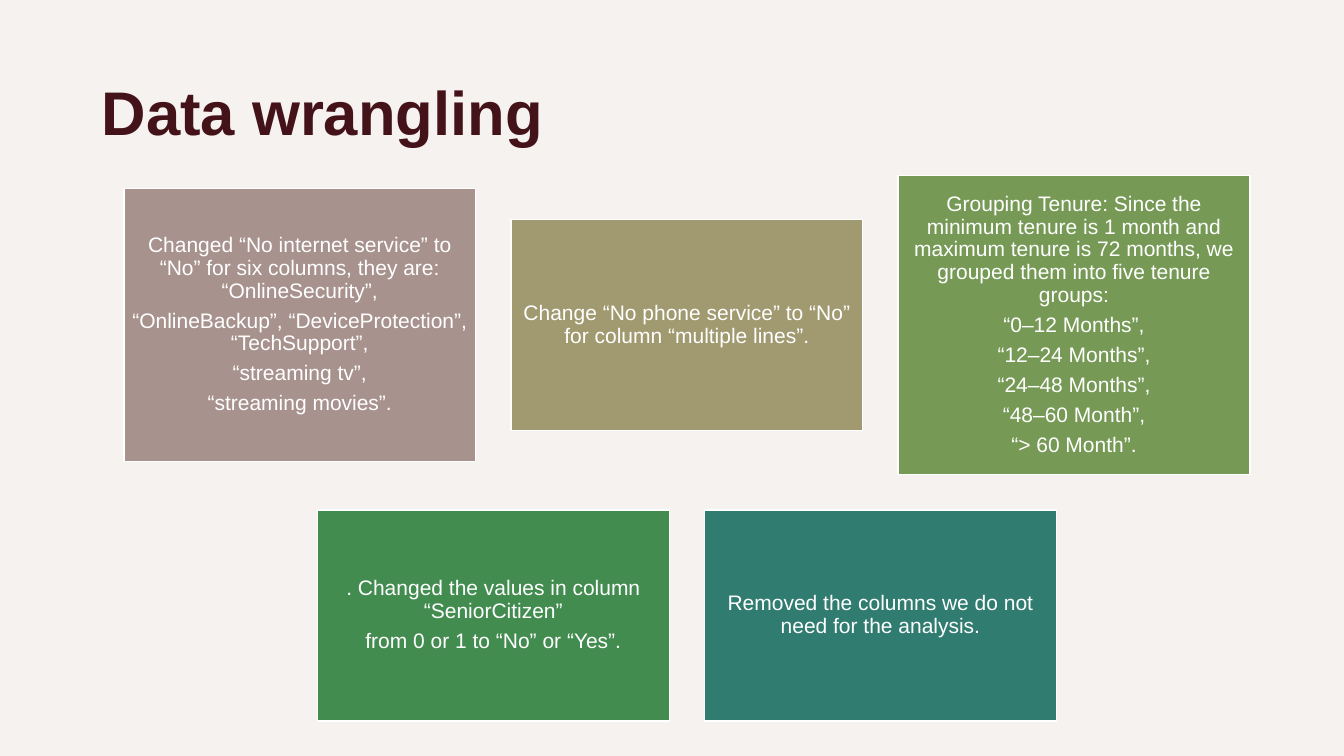
from pptx import Presentation
from pptx.dml.color import RGBColor
from pptx.enum.shapes import MSO_SHAPE
from pptx.enum.text import MSO_ANCHOR, PP_ALIGN
from pptx.util import Pt

RECTANGLE = MSO_SHAPE.RECTANGLE
TOP, MIDDLE = MSO_ANCHOR.TOP, MSO_ANCHOR.MIDDLE
LEFT, CENTER = PP_ALIGN.LEFT, PP_ALIGN.CENTER

WHITE = RGBColor(0xFF, 0xFF, 0xFF)
PALE = RGBColor(0xF6, 0xF2, 0xF0)
MAROON = RGBColor(0x44, 0x13, 0x1A)
MAUVE = RGBColor(0xA7, 0x92, 0x8D)
KHAKI = RGBColor(0xA1, 0x9A, 0x71)
OLIVE = RGBColor(0x76, 0x9A, 0x56)
GREEN = RGBColor(0x42, 0x8C, 0x50)
TEAL = RGBColor(0x30, 0x7C, 0x71)

CARD_WIDTH = 251.3
CARD_HEIGHT = 150.6
CARD_PITCH = 276.5
CARDS_LEFT = 88.5

# Each row: left edge, vertical centre, cards (fill, height, paragraphs)
ROWS = [
    (CARDS_LEFT, 232.2, [
        (MAUVE, 195.1, [
            "Changed “No internet service” to “No” for six columns, "
            "they are: “OnlineSecurity”,",
            "“OnlineBackup”, “DeviceProtection”, “TechSupport”,",
            "“streaming tv”,",
            "“streaming movies”.",
        ]),
        (KHAKI, CARD_HEIGHT, [
            "Change “No phone service” to “No” for column “multiple lines”.",
        ]),
        (OLIVE, 213.6, [
            "Grouping Tenure: Since the minimum tenure is 1 month and maximum "
            "tenure is 72 months, we grouped them into five tenure groups:",
            "“0–12 Months”,",
            "“12–24 Months”,",
            "“24–48 Months”,",
            "“48–60 Month”,",
            "“> 60 Month”.",
        ]),
    ]),
    (CARDS_LEFT + CARD_PITCH / 2, 439.6, [
        (GREEN, CARD_HEIGHT, [
            ". Changed the values in column “SeniorCitizen”",
            "from 0 or 1 to “No” or “Yes”.",
        ]),
        (TEAL, CARD_HEIGHT, [
            "Removed the columns we do not need for the analysis.",
        ]),
    ]),
]


class SlideBuilder:
    font_name = "Arial"
    title_size = 44
    card_size = 15
    card_inset = 4.3
    line_spacing = 0.9
    paragraph_gap = 5.25

    def __init__(self, page):
        self.page = page

    def background(self, color):
        fill = self.page.background.fill
        fill.solid()
        fill.fore_color.rgb = color

    def frame(self, box, anchor, insets):
        frame = box.text_frame
        frame.word_wrap = True
        frame.vertical_anchor = anchor
        left, top, right, bottom = (Pt(inset) for inset in insets)
        frame.margin_left, frame.margin_top = left, top
        frame.margin_right, frame.margin_bottom = right, bottom
        return frame

    def span(self, para, text, size, color, bold=False):
        span = para.add_run()
        span.text = text
        span.font.name = self.font_name
        span.font.size = Pt(size)
        span.font.bold = bold
        span.font.color.rgb = color

    def title(self, text, left, top, width, height):
        box = self.page.shapes.add_textbox(
            Pt(left), Pt(top), Pt(width), Pt(height))
        para = self.frame(box, TOP, (7.2, 8.6, 7.2, 3.6)).paragraphs[0]
        para.alignment = LEFT
        self.span(para, text, self.title_size, MAROON, bold=True)

    def card(self, left, middle, height, color, texts):
        """Draw a filled card centred vertically on middle."""
        box = self.page.shapes.add_shape(
            RECTANGLE, Pt(left), Pt(middle - height / 2),
            Pt(CARD_WIDTH), Pt(height))
        box.shadow.inherit = False
        box.fill.solid()
        box.fill.fore_color.rgb = color
        box.line.color.rgb = WHITE
        box.line.width = Pt(1)
        frame = self.frame(box, MIDDLE, [self.card_inset] * 4)
        for index, text in enumerate(texts):
            para = frame.add_paragraph() if index else frame.paragraphs[0]
            para.alignment = CENTER
            para.line_spacing = self.line_spacing
            para.space_after = Pt(self.paragraph_gap)
            self.span(para, text, self.card_size, WHITE)


def main():
    deck = Presentation()
    deck.slide_width, deck.slide_height = Pt(960), Pt(540)
    builder = SlideBuilder(deck.slides.add_slide(deck.slide_layouts[6]))
    builder.background(PALE)
    builder.title("Data wrangling", 65.5, 44, 816, 81.4)
    for left, middle, cards in ROWS:
        for column, (color, height, texts) in enumerate(cards):
            builder.card(left + column * CARD_PITCH, middle, height, color, texts)
    deck.save("out.pptx")


if __name__ == "__main__":
    main()
